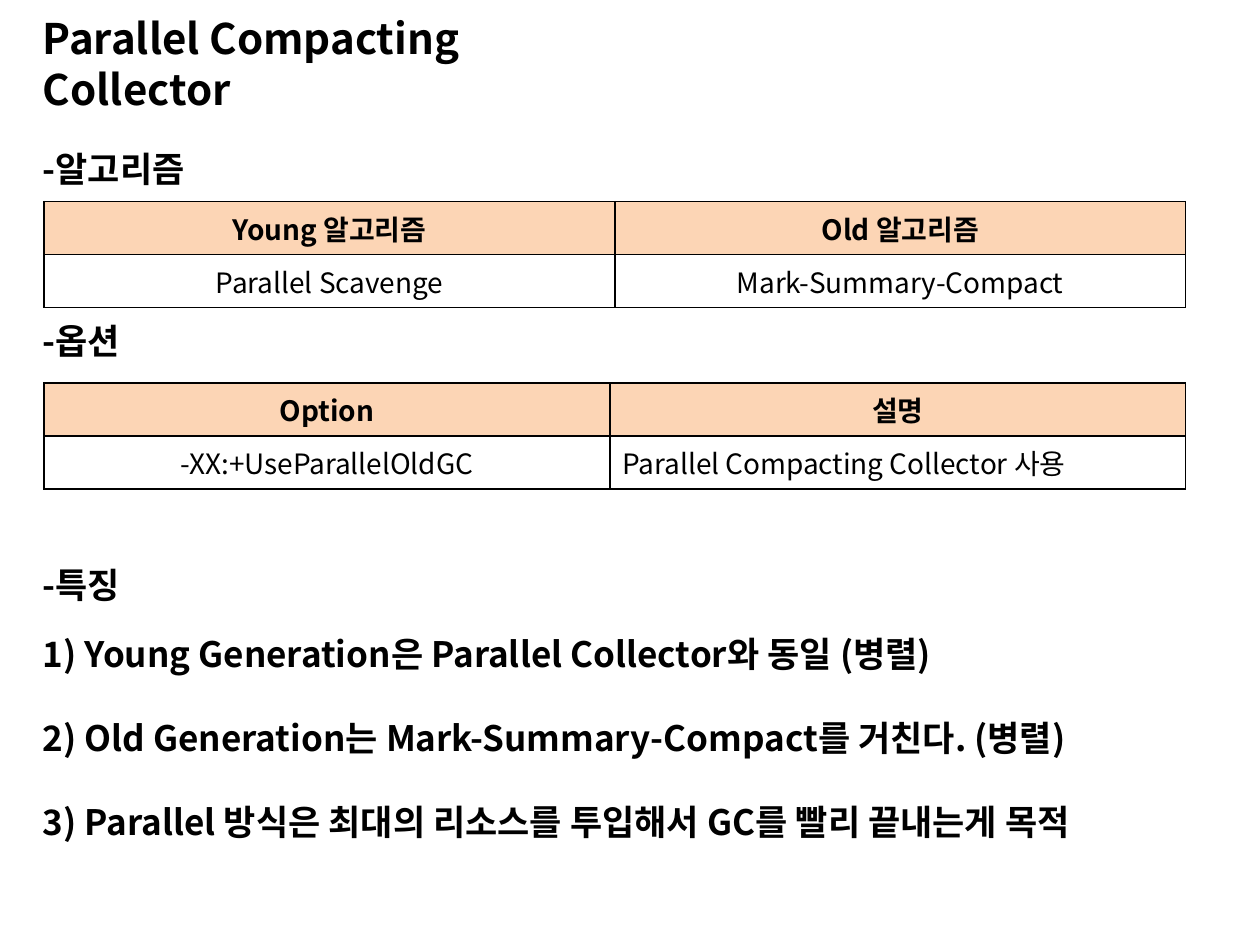
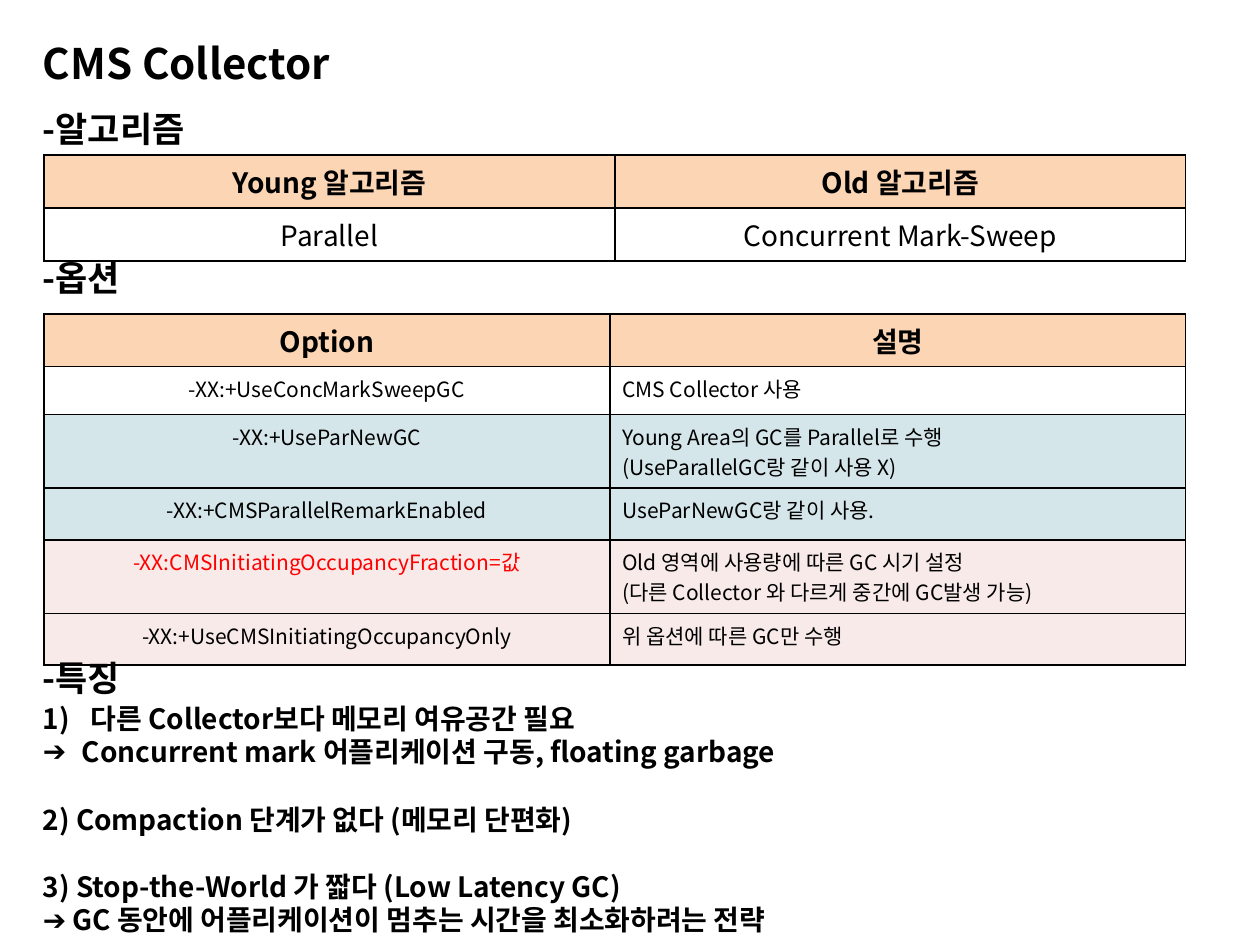
import dataclasses

import pptx
import pptx.dml.color
import pptx.enum.text
import pptx.oxml.ns
import pptx.util
from lxml import etree

RGBColor = pptx.dml.color.RGBColor
Align = pptx.enum.text.PP_ALIGN
qn = pptx.oxml.ns.qn

BLACK = RGBColor(0x00, 0x00, 0x00)
WHITE = RGBColor(0xFF, 0xFF, 0xFF)
RED = RGBColor(0xFF, 0x00, 0x00)
PEACH = RGBColor(0xFC, 0xD5, 0xB5)
TEAL = RGBColor(0x31, 0x85, 0x9C)
ROSE = RGBColor(0xD9, 0x96, 0x94)

FONT = "Noto Sans CJK KR"
TITLE_SIZE, HEADING_SIZE, TABLE_SIZE = 24, 20, 16
COLUMNS, ROWS = 100, 75          # grid of the slide
TEXT_LEFT, TABLE_LEFT = 2.4, 3.5
LINE_HEIGHT = 5.2                # title and headings
ROW_HEIGHT = 4.1
TINT = 20                        # opacity of body cells, percent
ALGORITHM_WIDTHS = (45.3, 45.3)
OPTION_WIDTHS = (44.9, 45.7)


@dataclasses.dataclass
class Row:
    cells: tuple
    fill: RGBColor = WHITE
    first_color: RGBColor = BLACK
    height: float = ROW_HEIGHT


@dataclasses.dataclass
class Point:
    text: str
    bullet: str = ""             # "auto" numbers the point
    indent: float = 0
    new_group: bool = False      # one free line above


class Deck:
    def __init__(self):
        self.show = pptx.Presentation()
        self.show.slide_width = pptx.util.Inches(10)
        self.show.slide_height = pptx.util.Inches(7.5)
        self.slide = None

    def x(self, columns):
        return round(self.show.slide_width * columns / COLUMNS)

    def y(self, rows):
        return round(self.show.slide_height * rows / ROWS)

    def place(self, shape, left, top, width, height):
        shape.left, shape.top = self.x(left), self.y(top)
        shape.width, shape.height = self.x(width), self.y(height)

    def style(self, frame, size, bold=True, color=BLACK, align=Align.LEFT):
        for paragraph in frame.paragraphs:
            paragraph.alignment = align
            for run in paragraph.runs:
                font = run.font
                font.size, font.bold = pptx.util.Pt(size), bold
                font.color.rgb = color
                font.name = FONT
                etree.SubElement(run._r.get_or_add_rPr(), qn("a:ea"), typeface=FONT)

    def line(self, shape, text, size):
        frame = shape.text_frame
        frame.text = text
        frame.word_wrap = True
        frame.auto_size = pptx.enum.text.MSO_AUTO_SIZE.NONE
        frame.vertical_anchor = pptx.enum.text.MSO_ANCHOR.MIDDLE
        self.style(frame, size)

    def start(self, title, width):
        self.slide = self.show.slides.add_slide(self.show.slide_layouts[1])
        heading = self.slide.shapes.title
        self.place(heading, TEXT_LEFT, 2.4, width, LINE_HEIGHT)
        self.line(heading, title, TITLE_SIZE)

    def heading(self, text, top):
        box = self.slide.shapes.add_textbox(
            self.x(TEXT_LEFT), self.y(top), self.x(20.1), self.y(LINE_HEIGHT))
        self.line(box, text, HEADING_SIZE)

    def points(self, points, top, height, size):
        body = self.slide.placeholders[1]
        self.place(body, TEXT_LEFT, top, 94.9, height)
        self.line(body, "\n".join(point.text for point in points), size)
        for paragraph, point in zip(body.text_frame.paragraphs, points):
            paragraph.space_before = pptx.util.Pt(1.2 * size if point.new_group else 0)
            properties = paragraph._p.get_or_add_pPr()
            properties.set("marL", str(self.x(point.indent)))
            properties.set("indent", str(-self.x(point.indent)))
            if point.bullet == "auto":
                etree.SubElement(properties, qn("a:buAutoNum"), type="arabicParenR")
            elif point.bullet:
                etree.SubElement(properties, qn("a:buChar"), char=point.bullet)
            else:
                etree.SubElement(properties, qn("a:buNone"))

    def cell(self, cell, text, fill, opacity, **text_style):
        cell.text_frame.text = text
        self.style(cell.text_frame, **text_style)
        cell.fill.solid()
        cell.fill.fore_color.rgb = fill
        properties = cell._tc.get_or_add_tcPr()
        if opacity < 100:
            tone = properties.find(".//" + qn("a:srgbClr"))
            etree.SubElement(tone, qn("a:alpha"), val=str(opacity * 1000))
        for position, side in enumerate(("lnL", "lnR", "lnT", "lnB")):
            border = etree.Element(qn("a:" + side), w=str(pptx.util.Pt(1)))
            paint = etree.SubElement(border, qn("a:solidFill"))
            etree.SubElement(paint, qn("a:srgbClr"), val=str(BLACK))
            properties.insert(position, border)

    def table(self, top, widths, header, rows, size=TABLE_SIZE, last_align=Align.CENTER):
        heights = [ROW_HEIGHT] + [row.height for row in rows]
        table = self.slide.shapes.add_table(
            len(heights), len(widths), self.x(TABLE_LEFT), self.y(top),
            self.x(sum(widths)), self.y(sum(heights))).table
        table.first_row = table.horz_banding = False
        for column, width in zip(table.columns, widths):
            column.width = self.x(width)
        for line, height in zip(table.rows, heights):
            line.height = self.y(height)
        for index, text in enumerate(header):
            self.cell(table.cell(0, index), text, PEACH, 100,
                      size=TABLE_SIZE, align=Align.CENTER)
        looks = ((Align.CENTER, True), (last_align, False))
        for number, row in enumerate(rows, 1):
            for index, (text, (align, first)) in enumerate(zip(row.cells, looks)):
                self.cell(table.cell(number, index), text, row.fill, TINT, size=size,
                          bold=False, align=align,
                          color=row.first_color if first else BLACK)

    def algorithms(self, heading_top, table_top, young, old):
        self.heading("-알고리즘", heading_top)
        self.table(table_top, ALGORITHM_WIDTHS, ("Young 알고리즘", "Old 알고리즘"),
                   [Row((young, old))])

    def options(self, heading_top, table_top, rows, size=TABLE_SIZE):
        self.heading("-옵션", heading_top)
        self.table(table_top, OPTION_WIDTHS, ("Option", "설명"), rows, size, Align.LEFT)

    def features(self, heading_top, points, top, height, size):
        self.heading("-특징", heading_top)
        self.points(points, top, height, size)


def main():
    deck = Deck()

    # Parallel Compacting Collector
    deck.start("Parallel Compacting Collector", 50)
    deck.algorithms(10.8, 16, "Parallel Scavenge", "Mark-Summary-Compact")
    deck.options(24.4, 30.4, [
        Row(("-XX:+UseParallelOldGC", "Parallel Compacting Collector 사용"))])
    deck.features(43.8, [
        Point("1) Young Generation은 Parallel Collector와 동일 (병렬)"),
        Point("2) Old Generation는 Mark-Summary-Compact를 거친다. (병렬)", new_group=True),
        Point("3) Parallel 방식은 최대의 리소스를 투입해서 GC를 빨리 끝내는게 목적",
              new_group=True),
    ], 43.3, 30.4, HEADING_SIZE)

    # CMS Collector
    deck.start("CMS Collector", 36.6)
    deck.algorithms(7.6, 12.3, "Parallel", "Concurrent Mark-Sweep")
    deck.options(19.4, 24.9, [
        Row(("-XX:+UseConcMarkSweepGC", "CMS Collector 사용"), height=3.8),
        Row(("-XX:+UseParNewGC",
             "Young Area의 GC를 Parallel로 수행\n(UseParallelGC랑 같이 사용 X)"), TEAL),
        Row(("-XX:+CMSParallelRemarkEnabled", "UseParNewGC랑 같이 사용."), TEAL),
        Row(("-XX:CMSInitiatingOccupancyFraction=값",
             "Old 영역에 사용량에 따른 GC 시기 설정\n"
             "(다른 Collector 와 다르게 중간에 GC발생 가능)"), ROSE, RED),
        Row(("-XX:+UseCMSInitiatingOccupancyOnly", "위 옵션에 따른 GC만 수행"), ROSE),
    ], size=12)
    deck.features(51.2, [
        Point("다른 Collector보다 메모리 여유공간 필요", "auto", 3.8),
        Point("Concurrent mark 어플리케이션 구동, floating garbage", "➔", 3.1),
        Point("2) Compaction 단계가 없다 (메모리 단편화)", new_group=True),
        Point("3) Stop-the-World 가 짧다 (Low Latency GC)", new_group=True),
        Point("➔ GC 동안에 어플리케이션이 멈추는 시간을 최소화하려는 전략"),
    ], 54, 22, TABLE_SIZE)

    deck.show.save("out.pptx")


if __name__ == "__main__":
    main()
